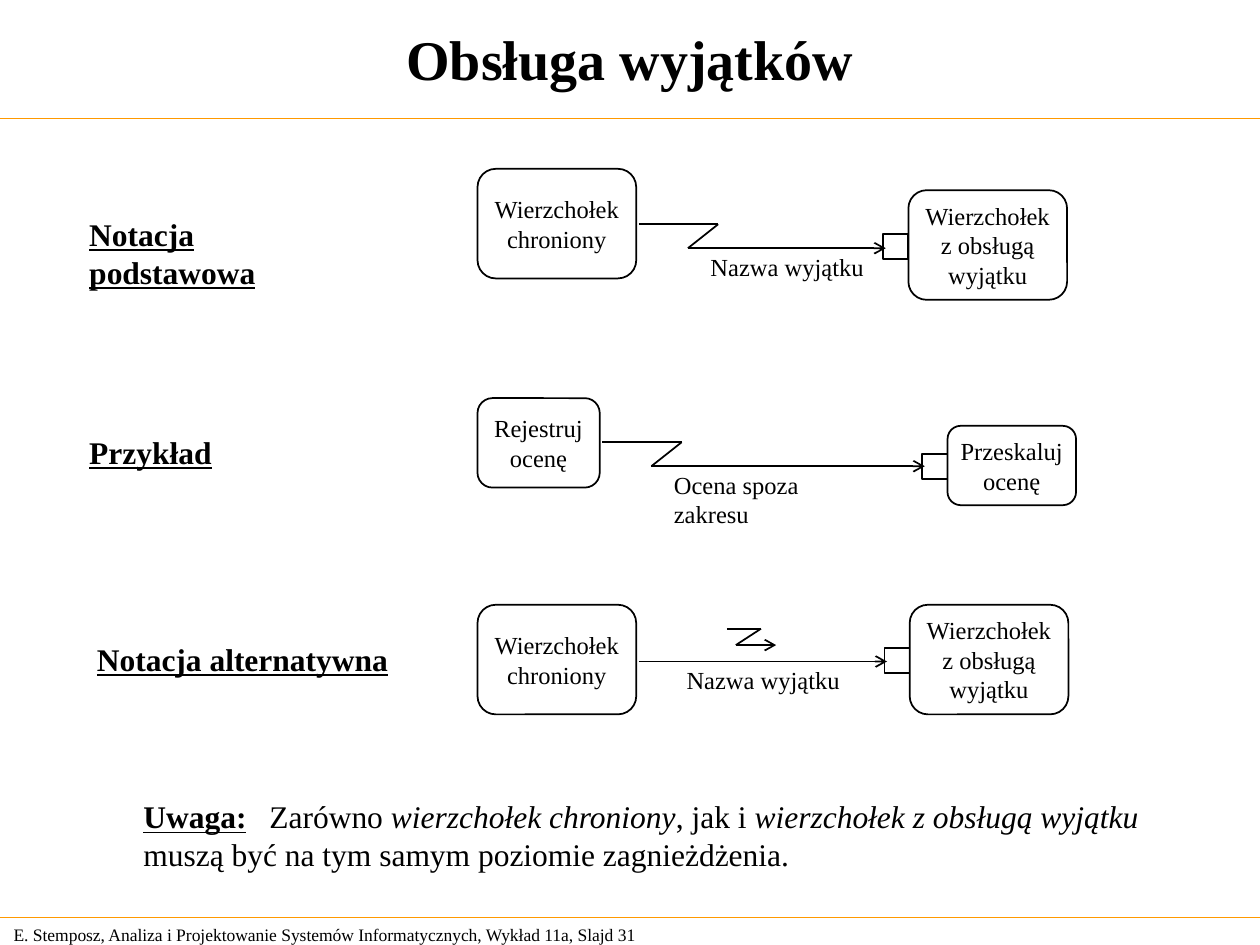
from lxml import etree
from pptx import Presentation
from pptx.dml.color import RGBColor
from pptx.enum.shapes import MSO_CONNECTOR, MSO_SHAPE
from pptx.enum.text import MSO_ANCHOR, PP_ALIGN
from pptx.oxml.ns import qn
from pptx.util import Inches, Pt

STRAIGHT = MSO_CONNECTOR.STRAIGHT
RECTANGLE, ROUNDED = MSO_SHAPE.RECTANGLE, MSO_SHAPE.ROUNDED_RECTANGLE
TOP, MIDDLE = MSO_ANCHOR.TOP, MSO_ANCHOR.MIDDLE
LEFT, CENTER = PP_ALIGN.LEFT, PP_ALIGN.CENTER

BLACK = RGBColor(0, 0, 0)
ORANGE = RGBColor(0xFF, 0x99, 0x00)
FONT = "Times New Roman"
WIDTH, HEIGHT = 10, 7.5
RULES = (0.94, 7.28)
PIN = 0.2

TITLE = "Obsługa wyjątków"
FOOTER = "E. Stemposz, Analiza i Projektowanie Systemów Informatycznych, Wykład 11a, Slajd 31"
NOTE = [
    ("Uwaga:", {"bold": True, "underline": True}),
    ("\tZarówno ", {}),
    ("wierzchołek chroniony", {"italic": True}),
    (", jak i ", {}),
    ("wierzchołek z obsługą wyjątku ", {"italic": True}),
    ("muszą być na tym samym poziomie zagnieżdżenia.", {}),
]
HEADINGS = [
    ("Notacja podstawowa", (0.61, 1.66, 2.41, 0.4)),
    ("Przykład", (0.61, 3.39, 1.17, 0.4)),
    ("Notacja alternatywna", (0.67, 5.03, 2.51, 0.4)),
]
PROTECTED = ["Wierzchołek", "chroniony"]
HANDLER = ["Wierzchołek", "z obsługą", "wyjątku"]
# Each diagram: nodes with their places, exception label, height of the arrow
DIAGRAMS = [
    {"source": (PROTECTED, (3.79, 1.34, 1.26, 0.87)),
     "target": (HANDLER, (7.21, 1.51, 1.26, 0.87)),
     "label": ("Nazwa wyjątku", (5.54, 1.95, 1.42, 0.34)),
     "arrow_y": 1.97, "bent": True},
    {"source": (["Rejestruj", "ocenę"], (3.79, 3.16, 0.97, 0.71)),
     "target": (["Przeskaluj", "ocenę"], (7.52, 3.38, 1.02, 0.63)),
     "label": ("Ocena spoza zakresu", (5.25, 3.68, 1.83, 0.34)),
     "arrow_y": 3.7, "bent": True},
    {"source": (PROTECTED, (3.79, 4.8, 1.26, 0.87)),
     "target": (HANDLER, (7.22, 4.8, 1.26, 0.87)),
     "label": ("Nazwa wyjątku", (5.35, 5.23, 1.42, 0.34)),
     "arrow_y": 5.25, "bent": False},
]

deck = Presentation()
deck.slide_width, deck.slide_height = Inches(WIDTH), Inches(HEIGHT)
page = deck.slides.add_slide(deck.slide_layouts[6])


def write(box, paragraphs, size, align=LEFT, anchor=TOP, wrap=False, tab=None, **style):
    """Fill a box; each paragraph is a string or a list of (text, style) spans."""
    frame = box.text_frame
    frame.word_wrap = wrap
    frame.vertical_anchor = anchor
    for index, spans in enumerate(paragraphs):
        para = frame.add_paragraph() if index else frame.paragraphs[0]
        para.alignment = align
        if tab:
            stops = etree.SubElement(para._p.get_or_add_pPr(), qn("a:tabLst"))
            etree.SubElement(stops, qn("a:tab"), pos=str(Inches(tab)), algn="l")
        for text, span_style in [(spans, {})] if isinstance(spans, str) else spans:
            span = para.add_run()
            span.text = text
            font = span.font
            font.name, font.size, font.color.rgb = FONT, Pt(size), BLACK
            for name, value in {**style, **span_style}.items():
                setattr(font, name, value)


def add_text(place, paragraphs, size, **options):
    box = page.shapes.add_textbox(*map(Inches, place))
    write(box, paragraphs, size, **options)


def add_line(start, end, color=BLACK, width=1, arrow=False):
    line = page.shapes.add_connector(STRAIGHT, *map(Inches, (*start, *end)))
    line.line.color.rgb, line.line.width = color, Pt(width)
    if arrow:
        etree.SubElement(line.line._get_or_add_ln(), qn("a:tailEnd"), type="arrow")
    etree.SubElement(line._element.spPr, qn("a:effectLst"))


def add_outline(kind, place):
    shape = page.shapes.add_shape(kind, *map(Inches, place))
    shape.shadow.inherit = False
    shape.fill.background()
    shape.line.color.rgb, shape.line.width = BLACK, Pt(1)
    return shape


def add_node(lines, place):
    write(add_outline(ROUNDED, place), lines, 14, align=CENTER, anchor=MIDDLE)


def add_lightning(left, top, width, back, drop, tip):
    """Draw a Z: across by width, down and back, then an arrow to x = tip."""
    corner, turn = (left + width, top), (left + width - back, top + drop)
    add_line((left, top), corner)
    add_line(corner, turn)
    add_line(turn, (tip, top + drop), arrow=True)


def add_diagram(source, target, label, arrow_y, bent):
    source_left, _, source_width, _ = source[1]
    target_left, target_top, _, target_height = target[1]
    start, tip = source_left + source_width + 0.02, target_left - PIN + 0.02
    if bent:
        add_lightning(start, arrow_y - 0.19, 0.63, 0.24, 0.19, tip)
    else:
        add_line((start, arrow_y), (tip, arrow_y), arrow=True)
        add_lightning(5.77, arrow_y - 0.26, 0.27, 0.2, 0.13, 6.16)
    pin_top = target_top + (target_height - PIN) / 2 + 0.01
    add_outline(RECTANGLE, (target_left - PIN, pin_top, PIN, PIN))
    add_text(label[1], [label[0]], 14)
    add_node(*source)
    add_node(*target)


for rule_y in RULES:
    add_line((0, rule_y), (WIDTH, rule_y), ORANGE, 0.75)
add_text((0.01, 7.28, 5.24, 0.27), [FOOTER], 10, anchor=MIDDLE)
add_text((0, 0, WIDTH, 0.92), [TITLE], 32, align=CENTER, anchor=MIDDLE, wrap=True, bold=True)
for heading, place in HEADINGS:
    add_text(place, [heading], 18, bold=True, underline=True)
for diagram in DIAGRAMS:
    add_diagram(**diagram)
add_text((1.04, 6.28, 8.13, 0.7), [NOTE], 18, wrap=True, tab=1)

deck.save("out.pptx")
